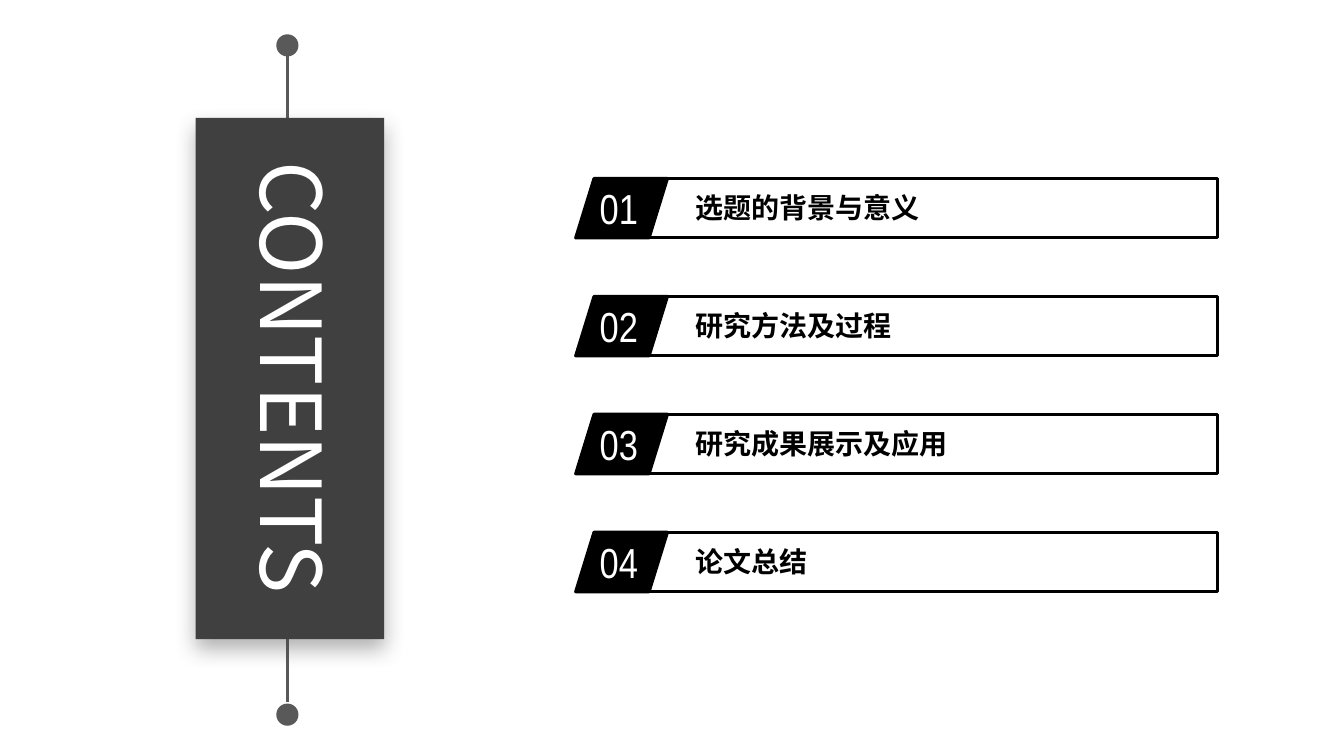
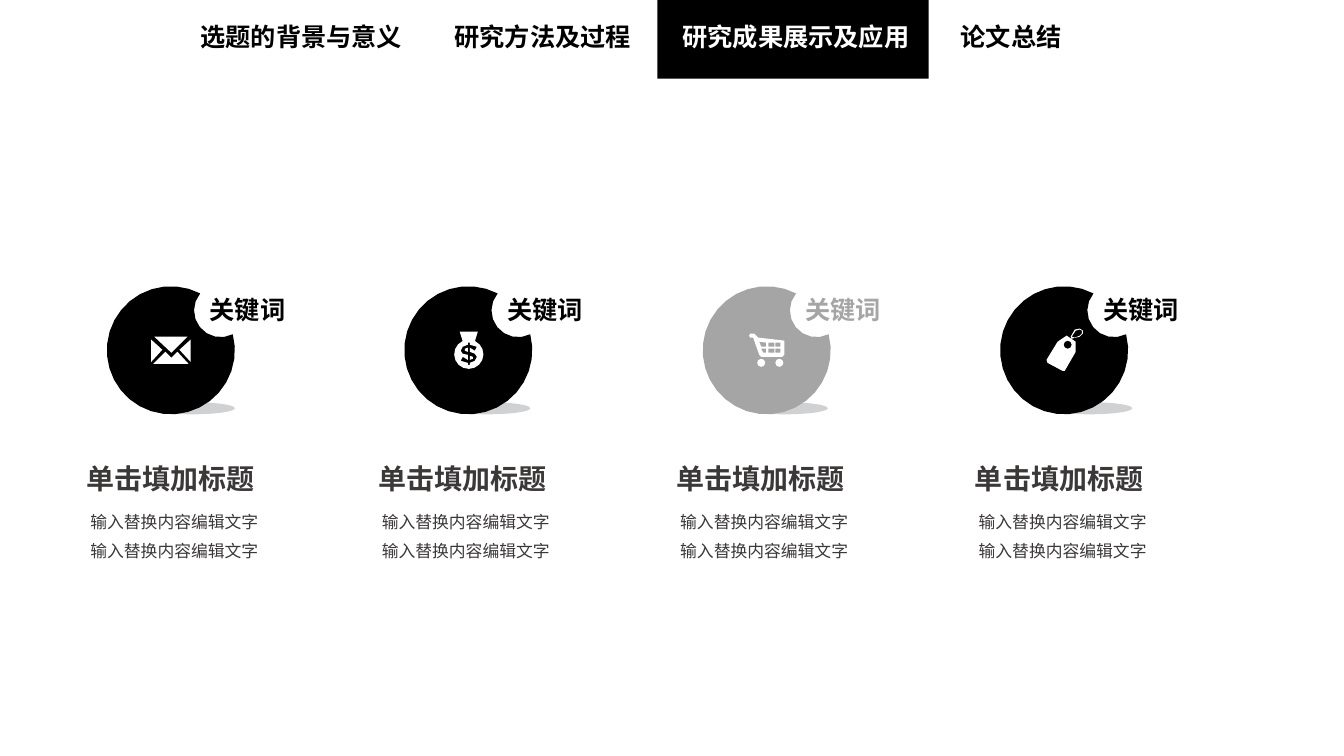
from math import acos, atan2, cos, hypot, pi, radians, sin

from lxml import etree
from pptx import Presentation
from pptx.dml.color import RGBColor
from pptx.enum.shapes import MSO_CONNECTOR, MSO_SHAPE
from pptx.enum.text import MSO_ANCHOR, MSO_AUTO_SIZE, PP_ALIGN
from pptx.oxml.ns import qn
from pptx.util import Inches, Pt

RECT, OVAL = MSO_SHAPE.RECTANGLE, MSO_SHAPE.OVAL
SLANT = MSO_SHAPE.FLOWCHART_DATA
STRAIGHT = MSO_CONNECTOR.STRAIGHT
LEFT, CENTER = PP_ALIGN.LEFT, PP_ALIGN.CENTER
TOP, MIDDLE = MSO_ANCHOR.TOP, MSO_ANCHOR.MIDDLE
GROW = MSO_AUTO_SIZE.SHAPE_TO_FIT_TEXT

BLACK = RGBColor(0x00, 0x00, 0x00)
WHITE = RGBColor(0xFF, 0xFF, 0xFF)
PANEL = RGBColor(0x40, 0x40, 0x40)
STEM = RGBColor(0x59, 0x59, 0x59)
MUTED = RGBColor(0xA5, 0xA5, 0xA5)
SHADE = RGBColor(0x53, 0x58, 0x5F)
BODY = RGBColor(0x3B, 0x38, 0x38)

SANS = "Noto Sans CJK SC"
NARROW = "Arial Narrow"

SECTIONS = ["选题的背景与意义", "研究方法及过程", "研究成果展示及应用", "论文总结"]


def add_text(slide, x, y, w, h, lines, size=18, color=BLACK, font=SANS, bold=False,
             align=LEFT, anchor=TOP, inset=True, grow=True, before=0, spacing=None):
    sp = slide.shapes.add_textbox(Inches(x), Inches(y), Inches(w), Inches(h))
    tf = sp.text_frame
    tf.word_wrap = True
    tf.vertical_anchor = anchor
    if grow:
        tf.auto_size = GROW
    if not inset:
        tf.margin_left = tf.margin_right = tf.margin_top = tf.margin_bottom = 0
    for i, line in enumerate(lines):
        p = tf.add_paragraph() if i else tf.paragraphs[0]
        p.alignment = align
        if spacing:
            p.line_spacing = spacing
        if i and before:
            p.space_before = Pt(before)
        r = p.add_run()
        r.text = line
        r.font.size = Pt(size)
        r.font.bold = bold
        r.font.color.rgb = color
        r.font.name = font
        etree.SubElement(r.font._element, qn("a:ea"), typeface=font)
    return sp


def paint(sp, fill=None, line=None, width=2.25):
    sp.shadow.inherit = False
    if fill is None:
        sp.fill.background()
    else:
        sp.fill.solid()
        sp.fill.fore_color.rgb = fill
    if line is None:
        sp.line.fill.background()
    else:
        sp.line.color.rgb = line
        sp.line.width = Pt(width)
    return sp


def add_shape(slide, kind, x, y, w, h, fill=None, line=None):
    sp = slide.shapes.add_shape(kind, Inches(x), Inches(y), Inches(w), Inches(h))
    return paint(sp, fill, line)


def add_outline(slide, x, y, contours, fill):
    """Draw closed contours, given in inches from (x, y), as one shape."""
    contours = [[(Inches(px), Inches(py)) for px, py in c] for c in contours]
    fb = slide.shapes.build_freeform(*contours[0][0])
    for i, contour in enumerate(contours):
        if i:
            fb.move_to(*contour[0])
        fb.add_line_segments(contour[1:], close=True)
    return paint(fb.convert_to_shape(Inches(x), Inches(y)), fill)


def set_alpha(sp, percent):
    clr = sp.fill._xPr.find(qn("a:solidFill"))[0]
    etree.SubElement(clr, qn("a:alpha"), val=str(percent * 1000))


def add_drop_shadow(sp, color, alpha, blur, distance):
    effects = sp._element.spPr.find(qn("a:effectLst"))
    shadow = etree.SubElement(effects, qn("a:outerShdw"), blurRad=str(Pt(blur)),
                              dist=str(Pt(distance)), dir="5400000",
                              algn="t", rotWithShape="0")
    clr = etree.SubElement(shadow, qn("a:srgbClr"), val=str(color))
    etree.SubElement(clr, qn("a:alpha"), val=str(alpha * 1000))


def arc(cx, cy, r, start, end, steps):
    """Points on a circle between two angles in radians."""
    angles = [start + (end - start) * i / steps for i in range(steps + 1)]
    return [(cx + r * cos(a), cy + r * sin(a)) for a in angles]


def circle(cx, cy, r):
    return arc(cx, cy, r, 0, 2 * pi, 8)[:-1]


def box(x1, y1, x2, y2):
    return [(x1, y1), (x2, y1), (x2, y2), (x1, y2)]


def bitten_disc(c=0.635, r=0.635, bite_x=1.13, bite_y=0.24, bite_r=0.265):
    """Outline of a disc with a round bite taken from its edge."""
    dx, dy = bite_x - c, bite_y - c
    d, to_bite = hypot(dx, dy), atan2(dy, dx)
    a = acos((d * d + r * r - bite_r * bite_r) / (2 * d * r))
    b = acos((d * d + bite_r * bite_r - r * r) / (2 * d * bite_r))
    rim = arc(c, c, r, to_bite + a, to_bite + 2 * pi - a, 28)
    bite = arc(bite_x, bite_y, bite_r, to_bite + pi + b, to_bite + pi - b, 8)
    return rim + bite[1:-1]


# Icon outlines, in inches from the top left corner of the disc
ENVELOPE = [
    [(0.83, 0.53), (0.83, 0.75), (0.72, 0.63)],
    [(0.8, 0.5), (0.64, 0.66), (0.47, 0.5)],
    [(0.81, 0.77), (0.46, 0.77), (0.58, 0.65), (0.64, 0.71), (0.7, 0.65)],
    [(0.44, 0.53), (0.55, 0.63), (0.44, 0.75)],
]
MONEY_BAG = [
    [(0.55, 0.45), (0.73, 0.45)]
    + arc(0.64, 0.675, 0.145, radians(-65), radians(245), 14),
    [(0.7, 0.64), (0.72, 0.6), (0.65, 0.58), (0.65, 0.56), (0.63, 0.56), (0.63, 0.58),
     (0.58, 0.6), (0.56, 0.64), (0.58, 0.67), (0.63, 0.68), (0.63, 0.73), (0.58, 0.7),
     (0.56, 0.74), (0.63, 0.76), (0.63, 0.78), (0.65, 0.78), (0.65, 0.76), (0.7, 0.74),
     (0.72, 0.7), (0.7, 0.67), (0.65, 0.65), (0.65, 0.61)],
    [(0.65, 0.69), (0.68, 0.7), (0.68, 0.72), (0.65, 0.73)],
    [(0.63, 0.61), (0.63, 0.65), (0.6, 0.64), (0.6, 0.62)],
]
CART = [
    [(0.81, 0.54), (0.81, 0.68), (0.79, 0.7), (0.58, 0.7), (0.56, 0.68), (0.5, 0.51),
     (0.47, 0.51), (0.46, 0.49), (0.47, 0.47), (0.51, 0.47), (0.55, 0.51)],
    box(0.72, 0.56, 0.77, 0.6), box(0.72, 0.62, 0.77, 0.66),
    box(0.65, 0.56, 0.71, 0.6), box(0.65, 0.62, 0.71, 0.66),
    [(0.56, 0.55), (0.63, 0.56), (0.63, 0.6), (0.58, 0.6)],
    [(0.58, 0.62), (0.63, 0.62), (0.63, 0.66), (0.6, 0.66)],
    circle(0.58, 0.76, 0.04), circle(0.76, 0.76, 0.04),
]
TAG = [
    [(0.75, 0.65), (0.64, 0.84), (0.62, 0.84), (0.47, 0.76), (0.46, 0.73), (0.57, 0.55),
     (0.66, 0.49), (0.75, 0.55)],
    circle(0.67, 0.58, 0.04),
    [(0.7, 0.5), (0.74, 0.43), (0.79, 0.42), (0.82, 0.44), (0.82, 0.47), (0.79, 0.5),
     (0.71, 0.52)],
    [(0.71, 0.5), (0.74, 0.51), (0.79, 0.49), (0.81, 0.47), (0.81, 0.44), (0.79, 0.43),
     (0.75, 0.44)],
]


def add_contents_panel(slide, x, y, w, h):
    stem_x, dot = x + 0.91, 0.22
    stem = slide.shapes.add_connector(STRAIGHT, Inches(stem_x), Inches(y - 0.65),
                                      Inches(stem_x), Inches(y + h + 0.62))
    stem.line.color.rgb = STEM
    stem.line.width = Pt(2.25)
    etree.SubElement(stem._element.spPr, qn("a:effectLst"))
    for dot_y in (y - 0.83, y + h + 0.64):
        add_shape(slide, OVAL, stem_x - dot / 2, dot_y, dot, dot, STEM)
    panel = add_shape(slide, RECT, x, y, w, h, PANEL)
    add_drop_shadow(panel, PANEL, 40, 15, 7)
    tw, th = 5.58, 1.11
    title = add_text(slide, x + 0.97 - tw / 2, y + h / 2 - th / 2 - 0.01, tw, th,
                     ["CONTENTS"], size=60, color=WHITE, align=CENTER)
    title.rotation = 90


def add_contents_entry(slide, x, y, number, name):
    h = 0.59
    add_shape(slide, SLANT, x, y, 0.91, h, BLACK, BLACK)
    add_text(slide, x + 0.14, y - 0.01, 0.76, 0.61, [f"{number:02}"], size=30,
             color=WHITE, font=NARROW)
    add_shape(slide, RECT, x + 0.7, y, 5.67, h, line=BLACK)
    add_text(slide, x + 1.09, y + 0.07, 3.78, 0.44, [name], size=20, bold=True)


def add_navigation(slide, active):
    for i, (x, name) in enumerate(zip((1.89, 4.41, 6.67, 9.43), SECTIONS)):
        w = 0.25 * len(name) + 0.22
        if i == active:
            add_shape(slide, RECT, x - 0.15, 0, w + 0.22, 0.78, BLACK)
        add_text(slide, x, 0.16, w, 0.4, [name], bold=True,
                 color=WHITE if i == active else BLACK)


def add_keyword_disc(slide, x, y, shade_dx, icon, color):
    shade = add_shape(slide, OVAL, x + shade_dx, y + 1.15, 0.85, 0.12, SHADE)
    set_alpha(shade, 27)
    add_outline(slide, x, y, [bitten_disc()], color)
    add_text(slide, x + 1.02, y + 0.04, 0.96, 0.38, ["关键词"], color=color, bold=True,
             anchor=MIDDLE, inset=False, grow=False)
    add_outline(slide, x, y, icon, WHITE)


def add_caption(slide, x, y):
    add_text(slide, x + 0.49, y, 1.85, 0.38, ["单击填加标题"], size=20, color=BODY,
             bold=True, align=CENTER, inset=False, spacing=1.2)
    add_text(slide, x, y + 0.52, 2.9, 0.59, ["输入替换内容编辑文字"] * 2, size=12,
             color=BODY, align=CENTER, before=6)


def build_contents(slide):
    add_contents_panel(slide, 1.94, 1.17, 1.87, 5.17)
    for i, name in enumerate(SECTIONS):
        add_contents_entry(slide, 5.71, 1.77 + 1.17 * i, i + 1, name)


def build_keywords(slide):
    add_navigation(slide, active=2)
    columns = [
        (1.06, 0.42, 0.28, ENVELOPE, BLACK),
        (4.01, 0.4, 3.17, MONEY_BAG, BLACK),
        (6.97, 0.39, 6.13, CART, MUTED),
        (9.92, 0.46, 9.09, TAG, BLACK),
    ]
    for disc_x, shade_dx, caption_x, icon, color in columns:
        add_keyword_disc(slide, disc_x, 2.84, shade_dx, icon, color)
        add_caption(slide, caption_x, 4.51)


def main():
    prs = Presentation()
    prs.slide_width, prs.slide_height = Inches(13.33), Inches(7.5)
    for build in (build_contents, build_keywords):
        build(prs.slides.add_slide(prs.slide_layouts[6]))
    prs.save("out.pptx")


if __name__ == "__main__":
    main()
